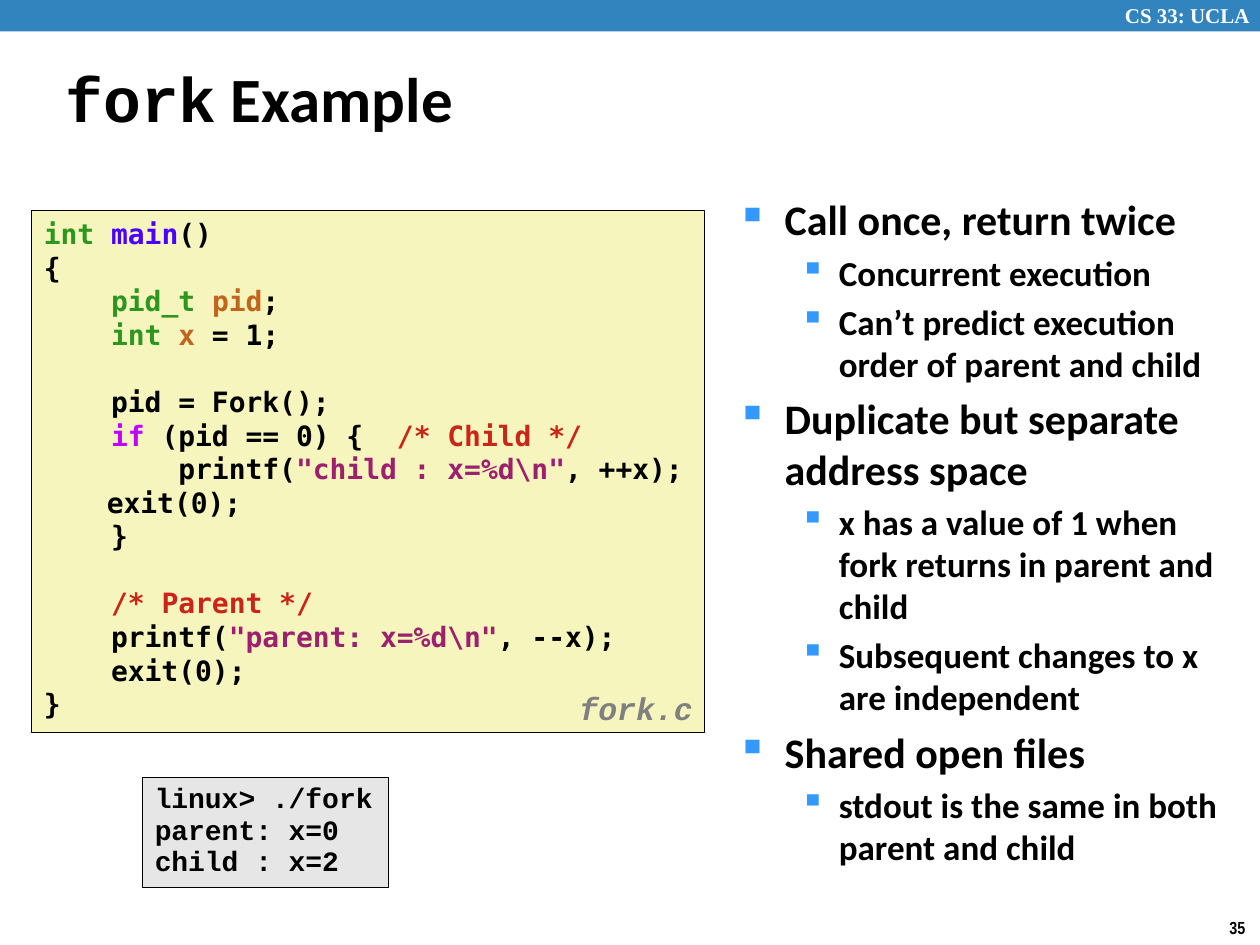
from lxml import etree
from pptx import Presentation, util as u
from pptx.dml.color import RGBColor
from pptx.enum import shapes, text
from pptx.oxml.ns import qn

W, H = 10, 7.5
BLACK, WHITE, BLUE, BULLET = "000000", "FFFFFF", "3284BF", "3399FF"
TYPE, NAME, VAR = "2D961E", "4A00FF", "C1651C"
KEYWORD, COMMENT, STRING = "C200FF", "CB2418", "9D206F"

# Each line is a list of pieces: plain text, or (text, colour)
CODE = [
    [("int ", TYPE), ("main", NAME), "()"],
    ["{"],
    ["    ", ("pid_t ", TYPE), ("pid", VAR), ";"],
    ["    ", ("int ", TYPE), ("x", VAR), " = 1;"],
    [],
    ["    pid = Fork();"],
    ["    ", ("if", KEYWORD), " (pid == 0) {  ", ("/* Child */", COMMENT)],
    ["        printf(", (r'"child : x=%d\n"', STRING), ", ++x);"],
    ["\texit(0);"],
    ["    }"],
    [],
    ["    ", ("/* Parent */", COMMENT)],
    ["    printf(", (r'"parent: x=%d\n"', STRING), ", --x);"],
    ["    exit(0);"],
    ["}"],
]
OUTPUT = [["linux> ./fork"], ["parent: x=0"], ["child : x=2"]]
POINTS = [
    ("Call once, return twice",
     ["Concurrent execution",
      "Can’t predict execution order of parent and child"]),
    ("Duplicate but separate address space",
     ["x has a value of 1 when fork returns in parent and child",
      "Subsequent changes to x are independent"]),
    ("Shared open files",
     ["stdout is the same in both parent and child"]),
]
LEVELS = [(24, 0.38, 0.38), (20, 0.81, 0.31)]  # size, margin, hanging indent


def rgb(value):
    return RGBColor.from_string(value)


def place(sp, left, top, width, height):
    sp.left, sp.top, sp.width, sp.height = map(u.Inches, (left, top, width, height))


def add_box(s, at, fill, outline=None):
    sp = s.shapes.add_shape(shapes.MSO_SHAPE.RECTANGLE, *map(u.Inches, at))
    sp.shadow.inherit = False
    sp.fill.solid()
    sp.fill.fore_color.rgb = rgb(fill)
    if outline:
        sp.line.color.rgb = rgb(outline)
        sp.line.width = u.Pt(0.25)
    else:
        sp.line.fill.background()
    return sp


def add_text_box(s, at):
    return s.shapes.add_textbox(*map(u.Inches, at))


def add_run(p, content, font, size, color=BLACK, italic=False):
    r = p.add_run()
    r.text = content
    f = r.font
    f.name, f.size, f.bold, f.italic = font, u.Pt(size), True, italic
    f.color.rgb = rgb(color)


def write(sp, lines, font, size, color=BLACK, italic=False, spacing=None,
          wrap=False, anchor=text.MSO_ANCHOR.TOP):
    tf = sp.text_frame
    tf.word_wrap, tf.vertical_anchor = wrap, anchor
    for i, line in enumerate(lines):
        p = tf.add_paragraph() if i else tf.paragraphs[0]
        p.alignment = text.PP_ALIGN.LEFT
        if spacing:
            p.line_spacing = spacing
        for piece in line:
            content, tint = (piece, color) if isinstance(piece, str) else piece
            add_run(p, content, font, size, tint, italic)
        if not line:
            end = etree.SubElement(p._p, qn("a:endParaRPr"), sz=str(size * 100), b="1")
            etree.SubElement(end, qn("a:latin"), typeface=font)


def add_bullet(p, level):
    size, margin, hang = LEVELS[level]
    p.level = level
    pr = p._p.get_or_add_pPr()
    pr.set("marL", str(u.Inches(margin)))
    pr.set("indent", str(-u.Inches(hang)))
    color = etree.SubElement(pr, qn("a:buClr"))
    etree.SubElement(color, qn("a:srgbClr"), val=BULLET)
    etree.SubElement(pr, qn("a:buChar"), char="▪")
    return size


def write_points(sp, points):
    tf = sp.text_frame
    tf.word_wrap = True
    items = [(level, t) for head, subs in points
             for level, t in [(0, head)] + [(1, sub) for sub in subs]]
    for i, (level, content) in enumerate(items):
        p = tf.add_paragraph() if i else tf.paragraphs[0]
        size = add_bullet(p, level)
        p.space_before = u.Pt(0.2 * size if i else 0)
        add_run(p, content, "Calibri", size)


def main():
    prs = Presentation()
    prs.slide_width, prs.slide_height = u.Inches(W), u.Inches(H)
    s = prs.slides.add_slide(prs.slide_layouts[5])

    add_box(s, (0, 0, W, 0.25), BLUE)
    write(add_text_box(s, (8.83, -0.03, 1.24, 0.3)), [["CS 33: UCLA"]],
          "Times New Roman", 12, WHITE)
    write(add_text_box(s, (9.66, 7.23, 0.34, 0.27)), [["35"]], "Arial Narrow", 10)

    title = s.shapes.title
    place(title, 0.42, 0.46, 6.23, 0.63)
    write(title, [["fork"]], "Courier New", 36, wrap=True, anchor=text.MSO_ANCHOR.MIDDLE)
    title.text_frame.auto_size = text.MSO_AUTO_SIZE.NONE
    add_run(title.text_frame.paragraphs[0], " Example", "Calibri", 36)

    write(add_box(s, (0.25, 1.67, 5.34, 4.14), "F6F5BD", BLACK), CODE,
          "DejaVu Sans Mono", 16)
    write(add_box(s, (1.13, 6.17, 1.95, 0.87), "E6E6E6", BLACK), OUTPUT,
          "Courier New", 16, spacing=0.94)
    write(add_text_box(s, (4.5, 5.44, 1.17, 0.39)), [["fork.c"]],
          "Courier New", 18, "808080", italic=True, spacing=0.94)
    write_points(add_text_box(s, (5.75, 1.49, 4.17, 5.68)), POINTS)

    prs.save("out.pptx")


if __name__ == "__main__":
    main()
